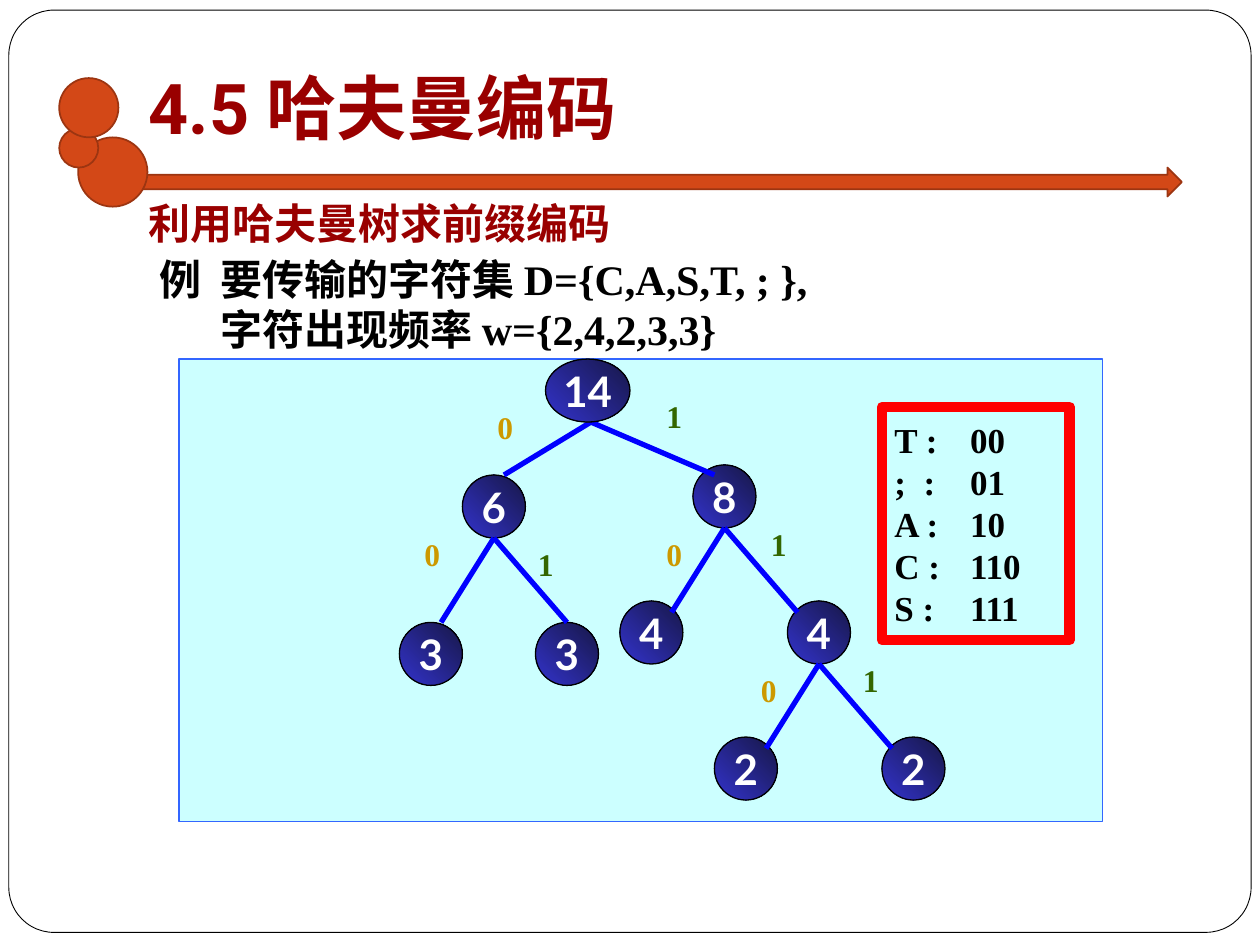
from lxml import etree
from pptx import Presentation
from pptx.dml.color import RGBColor
from pptx.enum.shapes import MSO_CONNECTOR, MSO_SHAPE
from pptx.enum.text import MSO_ANCHOR, PP_ALIGN
from pptx.oxml.ns import qn
from pptx.util import Inches, Pt

RECT, ROUND = MSO_SHAPE.RECTANGLE, MSO_SHAPE.ROUNDED_RECTANGLE
OVAL, ARROW = MSO_SHAPE.OVAL, MSO_SHAPE.RIGHT_ARROW
STRAIGHT = MSO_CONNECTOR.STRAIGHT
TOP, MIDDLE, BOTTOM = MSO_ANCHOR.TOP, MSO_ANCHOR.MIDDLE, MSO_ANCHOR.BOTTOM
LEFT, CENTER = PP_ALIGN.LEFT, PP_ALIGN.CENTER

SERIF, SANS = "Times New Roman", "Lato"
DARK, RUST, EDGE = "990000", "D34817", "9C3511"
ZERO, ONE = "CC9900", "336600"
SIZE = 0.5

DOTS = [(0.62, 1.09, 0.55), (0.47, 1.02, 0.31), (0.47, 0.62, 0.47)]
NODES = [
    ("4", 4.92, 4.77), ("3", 4.25, 4.94), ("3", 3.17, 4.94),
    ("2", 5.67, 5.85), ("2", 7, 5.85), ("4", 6.25, 4.77),
    ("6", 3.67, 3.77), ("8", 5.5, 3.69),
]
FORKS = [(6.5, 5.27), (3.92, 4.27), (5.75, 4.19)]
BITS = {
    "0": (ZERO, [(3.85, 3.19), (3.27, 4.2), (5.19, 4.2), (5.94, 5.28)]),
    "1": (ONE, [(5.19, 3.1), (4.17, 4.28), (6.02, 4.12), (6.75, 5.2)]),
}
CODES = ["T :\t00", ";  :\t01", "A :\t10", "C :\t110", "S :\t111"]


def color(code):
    return RGBColor.from_string(code)


def assign(item, values):
    for name, value in values.items():
        setattr(item, name, value)


def write(shape, lines, size, face, ink, anchor=TOP, align=LEFT, wrap=True, hang=0):
    frame = shape.text_frame
    assign(frame, {"word_wrap": wrap, "vertical_anchor": anchor})
    frame.text = "\n".join(lines)
    look = {"size": Pt(size), "name": face, "bold": True}
    for para in frame.paragraphs:
        para.alignment = align
        if hang:
            props = para._p.get_or_add_pPr()
            props.set("marL", str(Inches(hang)))
            if "\t" in para.text:
                props.set("indent", str(-Inches(hang)))
        for run in para.runs:
            assign(run.font, look)
            run.font.color.rgb = color(ink)


def label(slide, spot, lines, size, face, ink, **more):
    box = slide.shapes.add_textbox(*map(Inches, spot))
    write(box, lines, size, face, ink, **more)


def block(slide, kind, spot, fill, edge, width):
    shape = slide.shapes.add_shape(kind, *map(Inches, spot))
    shape.shadow.inherit = False
    if fill:
        shape.fill.solid()
        shape.fill.fore_color.rgb = color(fill)
    else:
        shape.fill.background()
    shape.line.color.rgb = color(edge)
    shape.line.width = Pt(width)
    return shape


def node(slide, text, left, top, width=SIZE):
    shape = block(slide, OVAL, (left, top, width, SIZE), None, "000000", 0.75)
    shape.fill.gradient()
    shape.fill.gradient_angle = 45
    for stop, code in zip(shape.fill.gradient_stops, ("3333CC", "171747")):
        stop.color.rgb = color(code)
    write(shape, [text], 24, SANS, "FFFFFF", MIDDLE, CENTER, False)


def fork(slide, left, top, shifts=(-0.42, 0.58), drop=0.67):
    for shift in shifts:
        ends = (left + shift, top + drop, left, top)
        link = slide.shapes.add_connector(STRAIGHT, *map(Inches, ends))
        link.line.color.rgb = color("0000FF")
        link.line.width = Pt(3)
        etree.SubElement(link._element.spPr, qn("a:effectLst"))


def frame(slide):
    page = block(slide, ROUND, (0.07, 0.08, 9.86, 7.32), "FFFFFF", "000000", 0.5)
    page.adjustments[0] = 0.049
    block(slide, ARROW, (0.86, 1.33, 8.52, 0.23), RUST, EDGE, 1)
    for left, top, size in DOTS:
        block(slide, OVAL, (left, top, size, size), RUST, EDGE, 1)


def head(slide):
    title = slide.shapes.title
    spot = map(Inches, (1.08, 0.03, 8.5, 1.25))
    assign(title, dict(zip(("left", "top", "width", "height"), spot)))
    title.text_frame.margin_bottom = Inches(0.1)
    write(title, ["4.5 哈夫曼编码"], 40, "Roboto", DARK, BOTTOM)
    slide.shapes.element.append(title.element)


def tree(slide):
    block(slide, RECT, (1.42, 2.85, 7.33, 3.67), "CCFFFF", "3366FF", 0.75)
    for item in NODES:
        node(slide, *item)
    for spot in FORKS:
        fork(slide, *spot)
    fork(slide, 4.69, 3.35, (-0.69, 0.98), 0.42)
    node(slide, "14", 4.33, 2.85, 0.67)
    for bit, (ink, spots) in BITS.items():
        for left, top in spots:
            label(slide, (left, top, 0.4, 0.57), [bit], 18, SERIF, ink)


def main():
    deck = Presentation()
    deck.slide_width, deck.slide_height = Inches(10), Inches(7.5)
    slide = deck.slides.add_slide(deck.slide_layouts[5])
    frame(slide)
    head(slide)
    label(slide, (1.08, 1.52, 3.95, 0.5), ["利用哈夫曼树求前缀编码"], 24, SANS, DARK)
    task = ["例\t要传输的字符集 D={C,A,S,T, ; },", "字符出现频率 w={2,4,2,3,3}"]
    label(slide, (1.17, 1.96, 7.83, 0.9), task, 24, SERIF, "000000",
          anchor=MIDDLE, hang=0.48)
    tree(slide)
    table = block(slide, RECT, (7, 3.23, 1.49, 1.85), None, "FF0000", 6)
    write(table, CODES, 20, SERIF, "000000", MIDDLE, hang=0.6)
    deck.save("out.pptx")


if __name__ == "__main__":
    main()
